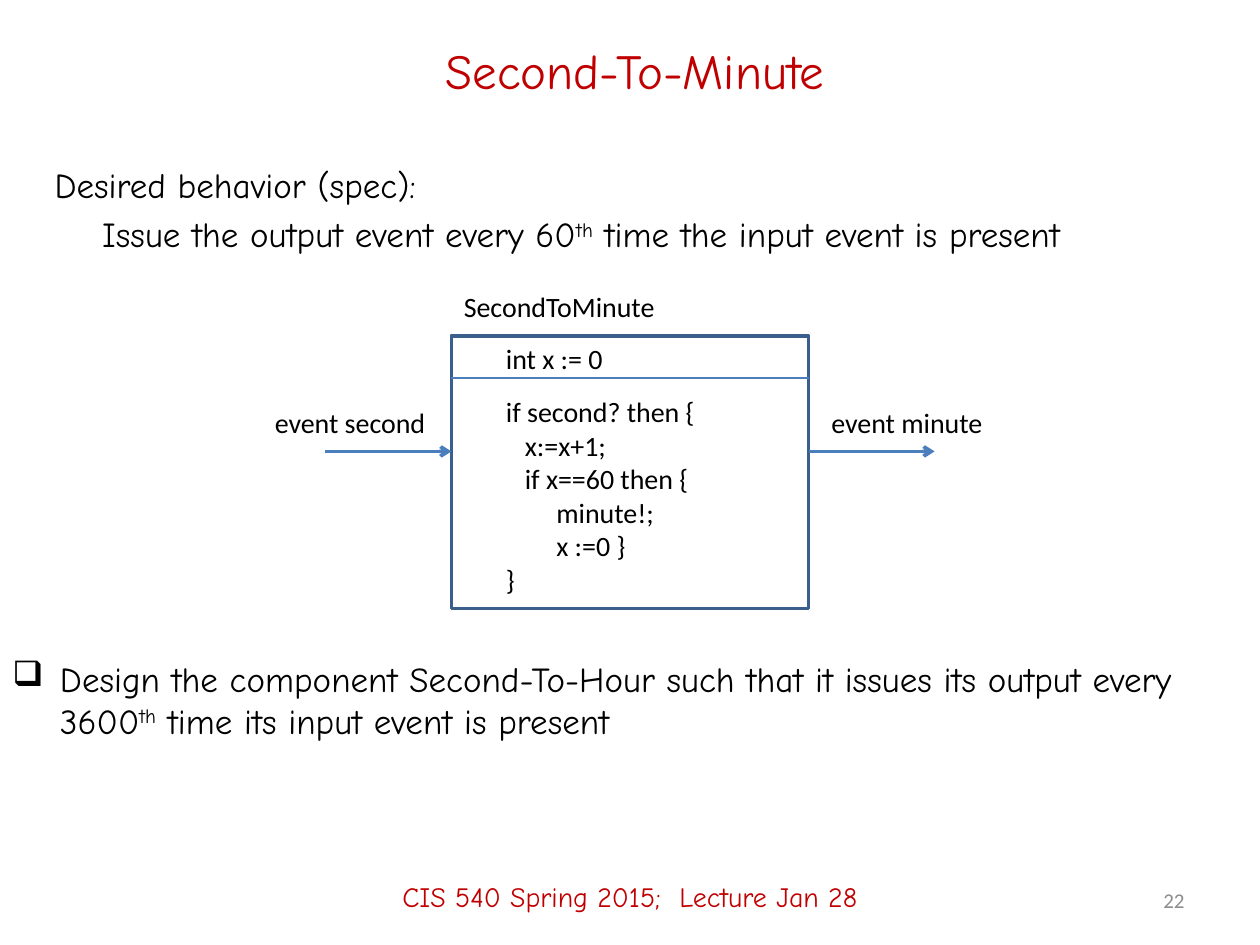
from dataclasses import dataclass

from lxml import etree
from pptx import Presentation
from pptx.dml.color import RGBColor
from pptx.enum.shapes import MSO_CONNECTOR, MSO_SHAPE
from pptx.enum.text import MSO_ANCHOR, PP_ALIGN
from pptx.oxml.ns import qn
from pptx.util import Cm, Pt

RECT = MSO_SHAPE.RECTANGLE
LINE = MSO_CONNECTOR.STRAIGHT
TOP, MIDDLE = MSO_ANCHOR.TOP, MSO_ANCHOR.MIDDLE
LEFT, CENTER, RIGHT = PP_ALIGN.LEFT, PP_ALIGN.CENTER, PP_ALIGN.RIGHT


@dataclass(frozen=True)
class Theme:
    """Hold the fonts, sizes and colours of the slide."""
    hand: str = "Comic Neue"
    sans: str = "Calibri"
    title: int = 28
    body: int = 20
    label: int = 16
    small: int = 12
    red: str = "C00000"
    black: str = "000000"
    gray: str = "8C8C8C"
    edge: str = "3A5F8C"
    wire: str = "4B7EBC"


THEME = Theme()
HANG = 0.96
CODE = """if second? then {
   x:=x+1;
   if x==60 then {
        minute!;
        x :=0 }
}"""


def rgb(code):
    """Turn a hex code into a colour."""
    return RGBColor.from_string(code)


def indent(para, left, bullet):
    """Indent a paragraph, hanging it on a bullet if one is given."""
    props = para._p.get_or_add_pPr()
    props.set("marL", str(Cm(left)))
    props.set("indent", str(-Cm(left) if bullet else 0))
    if bullet:
        etree.SubElement(props, qn("a:buChar")).set("char", bullet)


def text(slide, words, x, y, w, h, size=THEME.label, font=THEME.sans,
         color=THEME.black, align=LEFT, anchor=TOP, wrap=True,
         lefts=(), bullet=None, gap=0):
    """Add a text box, with each part between carets raised."""
    frame = slide.shapes.add_textbox(Cm(x), Cm(y), Cm(w), Cm(h)).text_frame
    frame.word_wrap = wrap
    frame.vertical_anchor = anchor
    for row, line in enumerate(words.split("\n")):
        para = frame.add_paragraph() if row else frame.paragraphs[0]
        if lefts:
            indent(para, lefts[row], bullet)
        para.alignment = align
        if row and gap:
            para.space_before = Pt(gap)
        for part, piece in enumerate(line.split("^")):
            run = para.add_run()
            run.text = piece
            run.font.name = font
            run.font.size = Pt(size)
            run.font.color.rgb = rgb(color)
            if part % 2:
                run._r.get_or_add_rPr().set("baseline", "30000")


def box(slide, x, y, w, h):
    """Add the outlined component box."""
    shape = slide.shapes.add_shape(RECT, Cm(x), Cm(y), Cm(w), Cm(h))
    shape.shadow.inherit = False
    shape.fill.background()
    shape.line.color.rgb = rgb(THEME.edge)
    shape.line.width = Pt(2)


def wire(slide, x, y, length, width=2, arrow=True):
    """Add a level line, with an arrowhead at its right end if asked."""
    link = slide.shapes.add_connector(LINE, Cm(x), Cm(y), Cm(x + length), Cm(y))
    link.line.color.rgb = rgb(THEME.wire)
    link.line.width = Pt(width)
    if arrow:
        tail = etree.SubElement(link.line._get_or_add_ln(), qn("a:tailEnd"))
        tail.set("type", "arrow")
    etree.SubElement(link._element.spPr, qn("a:effectLst"))


def diagram(slide):
    """Draw the component with its ports, state and code."""
    x, y, w, h = 9.1, 6.77, 7.2, 5.5
    port, reach = 9.1, 2.54
    box(slide, x, y, w, h)
    wire(slide, x, 7.62, w, width=0.75, arrow=False)
    for start in (x - reach, x + w):
        wire(slide, start, port, reach)
    for words, left, top, wide in (
            ("SecondToMinute", x, 5.72, 4.4),
            ("event second", 5.29, 8.05, 3.58),
            ("event minute", 16.51, 8.05, 3.6),
            ("int x := 0", 9.95, y, 2.5)):
        text(slide, words, left, top, wide, 0.94, wrap=False)
    text(slide, CODE, 9.95, 7.83, 4.45, 4.4)


def main():
    """Build the slide and save it."""
    deck = Presentation()
    deck.slide_width, deck.slide_height = Cm(25.4), Cm(19.05)
    slide = deck.slides.add_slide(deck.slide_layouts[6])
    hand = {"font": THEME.hand, "size": THEME.body}
    text(slide, "Second-To-Minute", 1.9, 0.43, 21.8, 1.98, font=THEME.hand,
         size=THEME.title, color=THEME.red, align=CENTER, anchor=MIDDLE)
    text(slide, "Desired behavior (spec):\n"
         "Issue the output event every 60^th^ time the input event is present",
         0.85, 3.18, 24.55, 2.96, lefts=(0, HANG), gap=4, **hand)
    diagram(slide)
    text(slide, "Design the component Second-To-Hour such that it issues its "
         "output every 3600^th^ time its input event is present",
         0, 13.12, 25.4, 3.38, lefts=(HANG,), bullet="❑", **hand)
    text(slide, "CIS 540 Spring 2015;  Lecture Jan 28", 0, 17.07, 25.4, 1.98,
         font=THEME.hand, color=THEME.red, align=CENTER, anchor=MIDDLE)
    text(slide, "22", 18.2, 17.65, 5.93, 1.01, size=THEME.small,
         color=THEME.gray, align=RIGHT, anchor=MIDDLE)
    deck.save("out.pptx")


if __name__ == "__main__":
    main()
